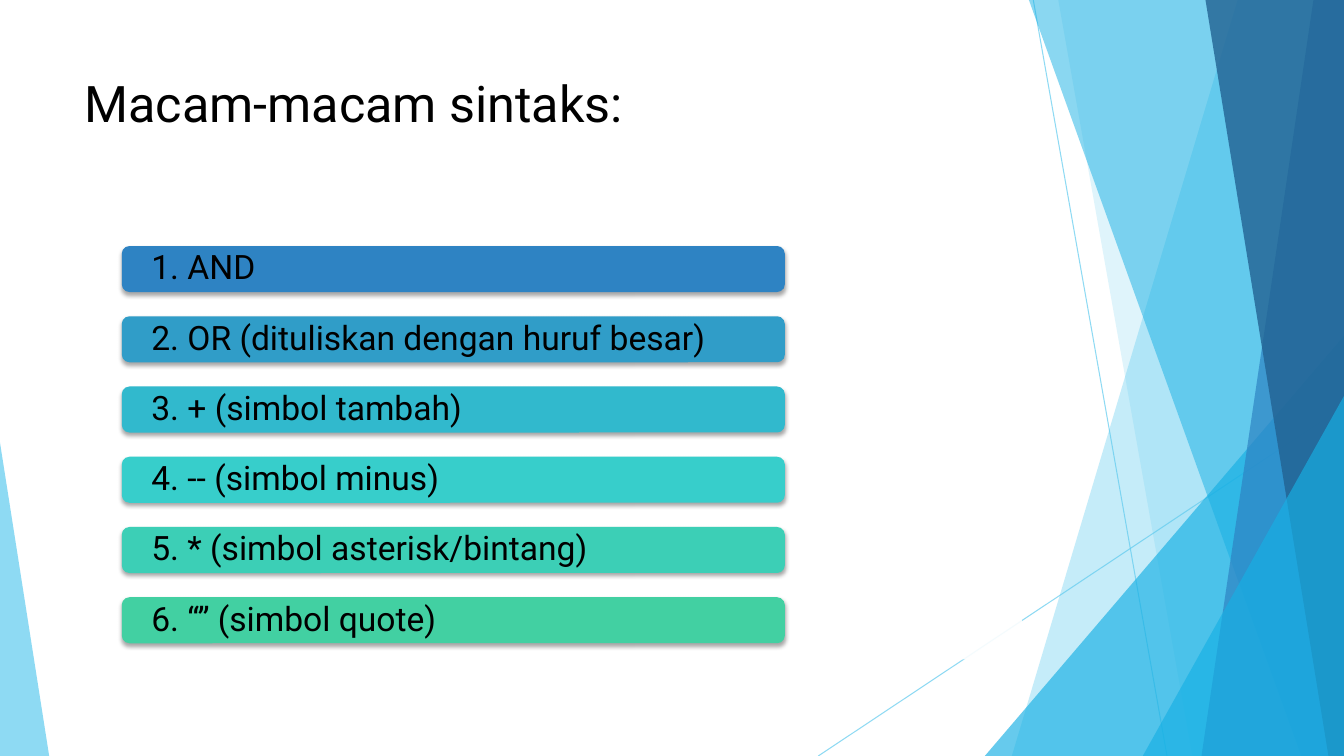
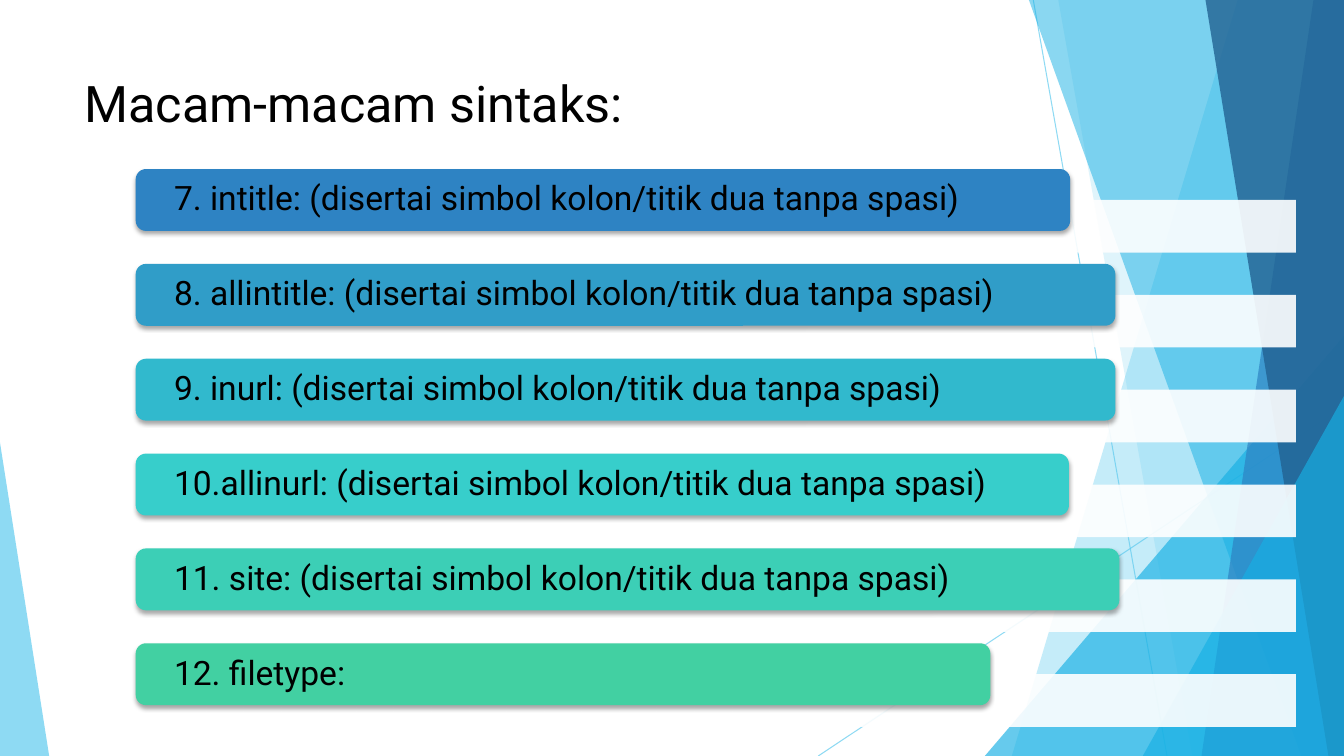
from pptx import Presentation
from pptx.dml.color import RGBColor
from pptx.enum.shapes import MSO_CONNECTOR, MSO_SHAPE
from pptx.enum.text import MSO_ANCHOR, PP_ALIGN
from pptx.oxml.ns import qn
from pptx.util import Cm, Pt
from lxml import etree

RECTANGLE = MSO_SHAPE.RECTANGLE
ROUNDED = MSO_SHAPE.ROUNDED_RECTANGLE
TRIANGLE = MSO_SHAPE.ISOSCELES_TRIANGLE
STRAIGHT = MSO_CONNECTOR.STRAIGHT
TOP, MIDDLE = MSO_ANCHOR.TOP, MSO_ANCHOR.MIDDLE
LEFT = PP_ALIGN.LEFT

SLIDE_WIDTH, SLIDE_HEIGHT = 33.87, 19.05
FONT = "Roboto"
BLACK, WHITE = "000000", "FFFFFF"
SKY, CYAN, BLUE, NAVY = "5FCBEF", "17B0E4", "2E83C3", "226292"
BAR_COLOURS = [BLUE, "309DC8", "31B9CD", "37CECB", "3CCFB6", "42D0A2"]
TITLE = "Macam-macam sintaks:"
MARGIN = 1.88
TRACK_RATIO = 0.85
COLON_NOTE = "(disertai simbol kolon/titik dua tanpa spasi)"

OPERATORS = [
    ("1. AND", 16.71),
    ("2. OR (dituliskan dengan huruf besar)", 16.71),
    ("3. + (simbol tambah)", 16.71),
    ("4. -- (simbol minus)", 16.71),
    ("5. * (simbol asterisk/bintang)", 16.71),
    ("6. “” (simbol quote)", 16.71),
]
PREFIXES = [
    (f"7. intitle: {COLON_NOTE}", 23.55),
    (f"8. allintitle: {COLON_NOTE}", 24.69),
    (f"9. inurl: {COLON_NOTE}", 24.69),
    (f"10.allinurl: {COLON_NOTE}", 23.52),
    (f"11. site: {COLON_NOTE}", 24.79),
    ("12. filetype:", 21.54),
]


def colour(value):
    return RGBColor.from_string(value)


def set_opacity(shape, percent):
    for node in shape.element.spPr.iter(qn("a:srgbClr")):
        etree.SubElement(node, qn("a:alpha"), val=str(percent * 1000))


def paint(shape, fill, opacity=100):
    shape.shadow.inherit = False
    shape.fill.solid()
    shape.fill.fore_color.rgb = colour(fill)
    shape.line.fill.background()
    if opacity < 100:
        set_opacity(shape, opacity)


def add_box(slide, kind, box, fill, opacity=100):
    shape = slide.shapes.add_shape(kind, *[Cm(length) for length in box])
    paint(shape, fill, opacity)
    return shape


def add_soft_shadow(shape):
    effects = shape.element.spPr.find(qn("a:effectLst"))
    shadow = etree.SubElement(effects, qn("a:outerShdw"), blurRad=str(Pt(3)),
                              dist=str(Pt(2)), dir="5400000", rotWithShape="0")
    black = etree.SubElement(shadow, qn("a:srgbClr"), val=BLACK)
    etree.SubElement(black, qn("a:alpha"), val="35000")


def write(shape, text, size, anchor, side_inset, end_inset, spacing):
    frame = shape.text_frame
    frame.word_wrap = True
    frame.vertical_anchor = anchor
    frame.margin_left = frame.margin_right = Cm(side_inset)
    frame.margin_top = frame.margin_bottom = Cm(end_inset)
    paragraph = frame.paragraphs[0]
    paragraph.alignment = LEFT
    paragraph.line_spacing = spacing
    run = paragraph.add_run()
    run.text = text
    run.font.name = FONT
    run.font.size = Pt(size)
    run.font.color.rgb = colour(BLACK)


def add_ray(slide, start, end):
    points = [Cm(length) for length in (*start, *end)]
    ray = slide.shapes.add_connector(STRAIGHT, *points)
    ray.line.color.rgb = colour(SKY)
    ray.line.width = Pt(0.75)
    set_opacity(ray, 70)
    etree.SubElement(ray.element.spPr, qn("a:effectLst"))


def add_shard(slide, top_x, bottom_x, fill, opacity):
    builder = slide.shapes.build_freeform(Cm(top_x), 0)
    corners = [(SLIDE_WIDTH, 0), (SLIDE_WIDTH, SLIDE_HEIGHT), (bottom_x, SLIDE_HEIGHT)]
    builder.add_line_segments([(Cm(x), Cm(y)) for x, y in corners], close=True)
    paint(builder.convert_to_shape(), fill, opacity)


def add_wedge(slide, left, width, height, apex, fill, opacity):
    box = (left, SLIDE_HEIGHT - height, width, height)
    wedge = add_box(slide, TRIANGLE, box, fill, opacity)
    wedge.adjustments[0] = apex


def add_backdrop(slide):
    add_ray(slide, (26.04, 0), (29.41, SLIDE_HEIGHT))
    add_ray(slide, (SLIDE_WIDTH, 10.24), (20.62, SLIDE_HEIGHT))
    add_shard(slide, 31.19, 25.5, SKY, 36)
    add_shard(slide, 26.67, 30.05, SKY, 20)
    add_wedge(slide, 24.82, 9.05, 10.59, 1, CYAN, 66)
    add_shard(slide, 25.93, 32.79, CYAN, 50)
    add_shard(slide, 33.1, 30.28, BLUE, 70)
    add_shard(slide, 30.38, 33.48, NAVY, 80)
    add_wedge(slide, 28.8, 5.07, 9.07, 1, CYAN, 66)
    add_wedge(slide, 0, 1.24, 7.9, 0, SKY, 70)


def add_title(slide, left, top, width, height):
    title = slide.shapes.add_textbox(Cm(left), Cm(top), Cm(width), Cm(height))
    write(title, TITLE, 36, TOP, 0.25, 0.13, 1.0)


def add_bar_list(slide, items, left, top, track_width, bar_height, pitch, indent, inset):
    for index, ((text, bar_width), fill) in enumerate(zip(items, BAR_COLOURS)):
        bar_top = top + index * pitch
        track = (left, bar_top + bar_height / 2, track_width, bar_height * TRACK_RATIO)
        add_box(slide, RECTANGLE, track, WHITE, 90)
        bar = add_box(slide, ROUNDED, (left + indent, bar_top, bar_width, bar_height), fill)
        add_soft_shadow(bar)
        write(bar, text, 24, MIDDLE, inset, 0, 0.9)


def add_syntax_slide(presentation, items, **layout):
    slide = presentation.slides.add_slide(presentation.slide_layouts[6])
    add_backdrop(slide)
    add_title(slide, MARGIN, 1.7, 23.88, 3.66)
    add_bar_list(slide, items, MARGIN, **layout)


def main():
    presentation = Presentation()
    presentation.slide_width = Cm(SLIDE_WIDTH)
    presentation.slide_height = Cm(SLIDE_HEIGHT)
    add_syntax_slide(presentation, OPERATORS, top=6.2, track_width=23.88,
                     bar_height=1.16, pitch=1.77, indent=1.19, inset=0.69)
    add_syntax_slide(presentation, PREFIXES, top=4.26, track_width=30.78,
                     bar_height=1.56, pitch=2.39, indent=1.54, inset=0.89)
    presentation.save("out.pptx")


if __name__ == "__main__":
    main()
